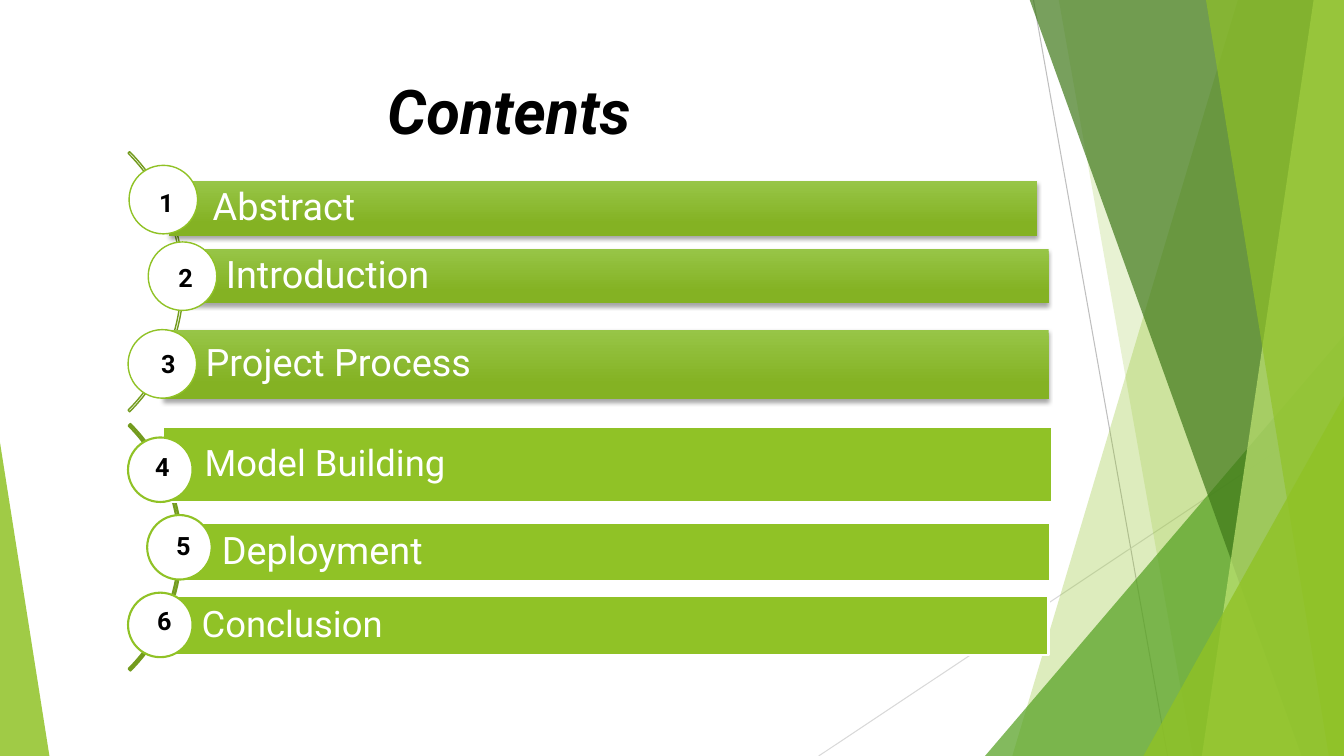
from dataclasses import dataclass

from lxml.etree import SubElement
from pptx import Presentation
from pptx.dml.color import RGBColor
from pptx.enum.shapes import MSO_CONNECTOR, MSO_SHAPE
from pptx.enum.text import MSO_ANCHOR, PP_ALIGN
from pptx.oxml.ns import qn
from pptx.shapes.autoshape import Shape
from pptx.slide import Slide
from pptx.util import Emu, Pt

SCALE = 9144
WIDTH, HEIGHT = 1333, 750
FONT = "Roboto"
HEX = {
    "white": "FFFFFF",
    "black": "000000",
    "lime": "90C226",
    "green": "54A021",
    "forest": "3F7819",
    "pale": "C0E474",
    "olive": "739B1E",
    "light": "97C547",
    "deep": "84B223",
    "gray": "BFBFBF",
    "silver": "D9D9D9",
}


@dataclass
class Box:
    left: int
    top: int
    width: int
    height: int


@dataclass
class Ray:
    start: tuple[int, int]
    end: tuple[int, int]
    color: str


@dataclass
class Facet:
    points: list[tuple[int, int]]
    color: str
    alpha: int


@dataclass
class Wedge:
    box: Box
    tip: int
    color: str
    alpha: int


@dataclass
class Row:
    label: str
    bar: Box
    disc: tuple[int, int]
    digit: tuple[int, int]
    size: int


@dataclass
class Group:
    arc: Box
    band: float
    rows: list[Row]
    disc: int
    inset: int
    line: float
    glossy: bool


RAYS = [
    Ray((1025, 0), (1158, HEIGHT), "gray"),
    Ray((WIDTH, 403), (812, HEIGHT), "silver"),
]


def slant(top: int, foot: int, color: str, alpha: int) -> Facet:
    points = [(top, -1), (WIDTH, -1), (WIDTH, HEIGHT), (foot, HEIGHT)]
    return Facet(points, color, alpha)


PANELS = [
    slant(1228, 1004, "lime", 30),
    slant(1050, 1183, "lime", 20),
    Wedge(Box(977, 333, 356, 417), 1, "green", 72),
    slant(1021, 1291, "forest", 70),
    slant(1303, 1192, "pale", 70),
    slant(1196, 1318, "lime", 65),
    Wedge(Box(1134, 393, 199, 357), 1, "lime", 80),
    Wedge(Box(0, 439, 49, 311), 0, "lime", 85),
]

GROUPS = [
    Group(Box(-183, 97, 365, 365), 0.006, [
        Row("Abstract", Box(168, 180, 861, 54), (128, 164), (148, 181), 27),
        Row("Introduction", Box(181, 247, 859, 54), (147, 240), (167, 255), 27),
        Row("Project Process", Box(161, 327, 879, 69), (127, 327), (150, 341), 27),
    ], 68, 43, 1, True),
    Group(Box(-166, 370, 346, 346), 0.007, [
        Row("Model Building", Box(162, 424, 881, 74), (127, 434), (144, 443), 26),
        Row("Deployment", Box(179, 519, 863, 57), (146, 511), (165, 521), 27),
        Row("Conclusion", Box(159, 591, 881, 59), (127, 588), (146, 596), 26),
    ], 64, 41, 1.5, False),
]


def px(count: int) -> Emu:
    return Emu(count * SCALE)


def spot(box: Box) -> list[Emu]:
    return [px(n) for n in (box.left, box.top, box.width, box.height)]


def rgb(name: str) -> RGBColor:
    return RGBColor.from_string(HEX[name])


def fade(parent, alpha: int) -> None:
    SubElement(parent, qn("a:alpha")).set("val", str(alpha * 1000))


def paint(shape: Shape, color: str | None, line: str | None = None,
          width: float = 1, alpha: int = 100) -> None:
    shape.shadow.inherit = False
    if color:
        shape.fill.solid()
        shape.fill.fore_color.rgb = rgb(color)
        if alpha < 100:
            fade(shape.fill._xPr.find(".//" + qn("a:srgbClr")), alpha)
    else:
        shape.fill.background()
    if line:
        shape.line.color.rgb = rgb(line)
        shape.line.width = Pt(width)
    else:
        shape.line.fill.background()


def gloss(shape: Shape) -> None:
    shape.fill.gradient()
    shape.fill.gradient_angle = 270
    for stop, color, place in zip(shape.fill.gradient_stops, ("light", "deep"), (0, 0.78)):
        stop.color.rgb = rgb(color)
        stop.position = place
    effects = shape._element.spPr.find(qn("a:effectLst"))
    shade = SubElement(effects, qn("a:outerShdw"), blurRad=str(Pt(3)),
                       dist=str(Pt(2)), dir="5400000", rotWithShape="0")
    fade(SubElement(shade, qn("a:srgbClr"), val=HEX["black"]), 35)


def write(shape: Shape, text: str, size: int, color: str,
          align: PP_ALIGN = PP_ALIGN.LEFT, bold: bool = False) -> None:
    shape.text_frame.text = text
    line = shape.text_frame.paragraphs[0]
    line.alignment = align
    font = line.runs[0].font
    font.name, font.size, font.bold = FONT, Pt(size), bold
    font.color.rgb = rgb(color)


def draw_ray(slide: Slide, ray: Ray) -> None:
    ends = [px(n) for n in ray.start + ray.end]
    line = slide.shapes.add_connector(MSO_CONNECTOR.STRAIGHT, *ends)
    line.line.color.rgb = rgb(ray.color)
    line.line.width = Pt(0.75)
    SubElement(line._element.spPr, qn("a:effectLst"))


def draw_panel(slide: Slide, panel: Facet | Wedge) -> None:
    if isinstance(panel, Facet):
        path = slide.shapes.build_freeform(*panel.points[0], scale=SCALE)
        path.add_line_segments(panel.points[1:], close=True)
        shape = path.convert_to_shape()
    else:
        shape = slide.shapes.add_shape(MSO_SHAPE.ISOSCELES_TRIANGLE, *spot(panel.box))
        shape.adjustments[0] = panel.tip
    paint(shape, panel.color, alpha=panel.alpha)


def draw_title(slide: Slide) -> None:
    title = slide.shapes.add_textbox(*spot(Box(74, 67, 940, 144)))
    title.text_frame.word_wrap = True
    title.text_frame.margin_left = px(310)
    write(title, "Contents", 44, "black", bold=True)
    title.text_frame.paragraphs[0].runs[0].font.italic = True


def draw_row(slide: Slide, row: Row, group: Group, number: int) -> None:
    bar = slide.shapes.add_shape(MSO_SHAPE.RECTANGLE, *spot(row.bar))
    paint(bar, "lime", None if group.glossy else "white", group.line)
    if group.glossy:
        gloss(bar)
    frame = bar.text_frame
    frame.word_wrap = True
    frame.vertical_anchor = MSO_ANCHOR.MIDDLE
    frame.margin_left = px(group.inset)
    frame.margin_top = frame.margin_right = frame.margin_bottom = px(7)
    write(bar, row.label, row.size, "white")
    frame.paragraphs[0].line_spacing = 0.9

    disc = slide.shapes.add_shape(MSO_SHAPE.OVAL, *spot(Box(*row.disc, group.disc, group.disc)))
    paint(disc, "white", "lime", group.line)
    digit = slide.shapes.add_textbox(*spot(Box(*row.digit, 33, 40)))
    digit.text_frame.word_wrap = True
    write(digit, str(number), 18, "black", PP_ALIGN.CENTER, True)


def main() -> None:
    deck = Presentation()
    deck.slide_width, deck.slide_height = px(WIDTH), px(HEIGHT)
    slide = deck.slides.add_slide(deck.slide_layouts[6])
    for ray in RAYS:
        draw_ray(slide, ray)
    for panel in PANELS:
        draw_panel(slide, panel)
    draw_title(slide)
    number = 0
    for group in GROUPS:
        arc = slide.shapes.add_shape(MSO_SHAPE.BLOCK_ARC, *spot(group.arc))
        for place, value in enumerate((189, 27, group.band)):
            arc.adjustments[place] = value
        paint(arc, None, "olive", group.line)
        for row in group.rows:
            number += 1
            draw_row(slide, row, group, number)
    deck.save("out.pptx")


if __name__ == "__main__":
    main()
